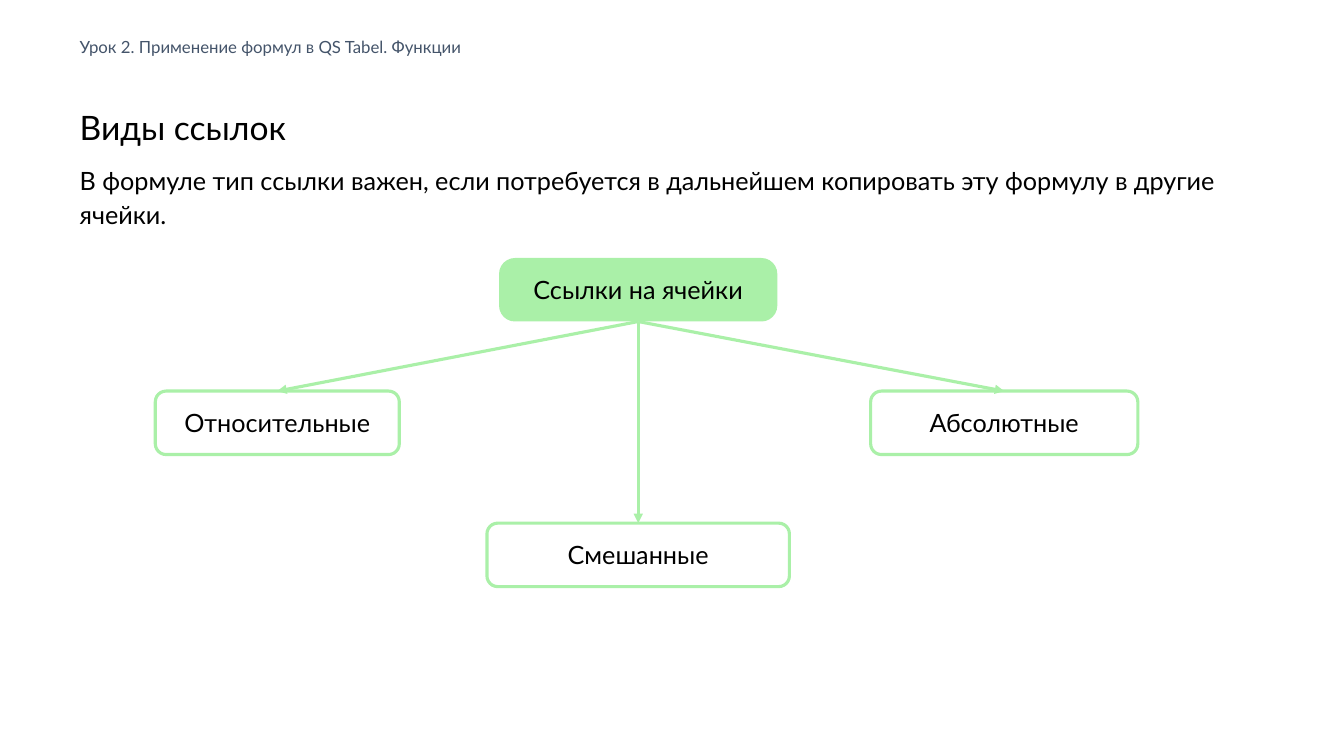
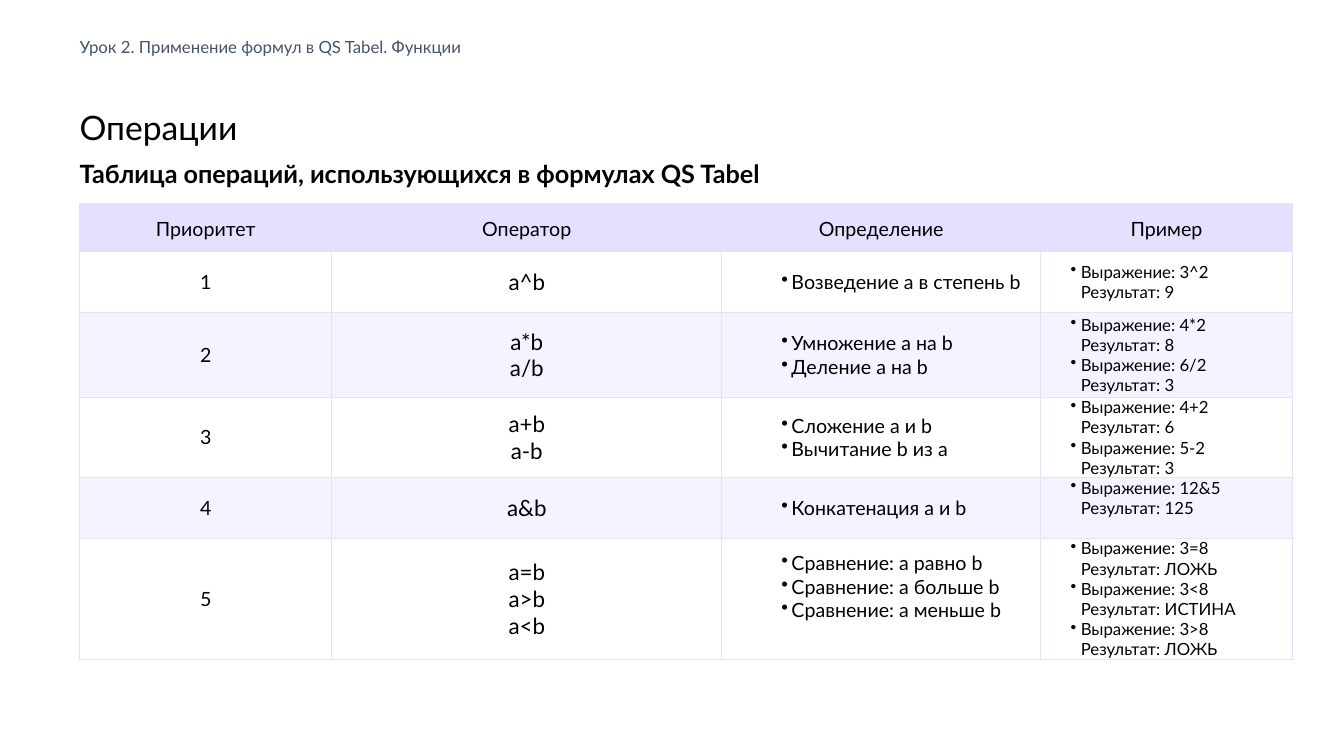
import pptx
import pptx.util
import pptx.dml.color
import pptx.enum.text
import pptx.enum.shapes
import pptx.oxml

IN = pptx.util.Inches
PT = pptx.util.Pt
ALIGN = pptx.enum.text.PP_ALIGN
ANCHOR = pptx.enum.text.MSO_ANCHOR
SHAPE = pptx.enum.shapes.MSO_SHAPE
LINK = pptx.enum.shapes.MSO_CONNECTOR.STRAIGHT
NS = 'xmlns:a="http://schemas.openxmlformats.org/drawingml/2006/main"'

WIDE, HIGH = 13.33, 7.5
LEFT, SPAN = 0.79, 11.76
FONT = "Lato"
HEX = {"ink": "000000", "slate": "44546A", "green": "AAF0A8", "lilac": "E3E1FF", "white": "FFFFFF"}

LESSON = "Урок 2. Применение формул в QS Tabel. Функции"
LINKS = {
    "title": "Виды ссылок",
    "body": "В формуле тип ссылки важен, если потребуется в дальнейшем копировать эту формулу в другие ячейки.",
    "root": "Ссылки на ячейки",
    "kinds": [
        ("Относительные", 2.75, 3.88, 2.42),
        ("Абсолютные", 9.96, 3.88, 2.65),
        ("Смешанные", 6.33, 5.19, 3),
    ],
}
OPS = {
    "title": "Операции",
    "body": "Таблица операций, использующихся в формулах QS Tabel",
    "head": ["Приоритет", "Оператор", "Определение", "Пример"],
    "rows": [
        (["a^b"], ["Возведение a в степень b"], [("3^2", "9")]),
        (["a*b", "a/b"], ["Умножение a на b", "Деление a на b"], [("4*2", "8"), ("6/2", "3")]),
        (["a+b", "a-b"], ["Сложение a и b", "Вычитание b из a"], [("4+2", "6"), ("5-2", "3")]),
        (["a&b"], ["Конкатенация a и b"], [("12&5", "125")]),
        (["a=b", "a>b", "a<b"],
         ["Сравнение: a равно b", "Сравнение: a больше b", "Сравнение: a меньше b"],
         [("3=8", "ЛОЖЬ"), ("3<8", "ИСТИНА"), ("3>8", "ЛОЖЬ")]),
    ],
    "wide": [2.5, 3.87, 3.16, 2.5],
    "high": [0.47, 0.61, 0.84, 0.8, 0.6, 1.2],
    "lift": {(4, 3): 0.2, (5, 2): 0.24},
}


def rgb(name):
    return pptx.dml.color.RGBColor.from_string(HEX[name])


def node(text):
    return pptx.oxml.parse_xml(text)


def write(box, lines, size=18, color="ink", bold=False, align=ALIGN.LEFT, lead=1.0, dent=0, step=0):
    for i, line in enumerate(lines):
        par = box.paragraphs[0] if i == 0 else box.add_paragraph()
        mark = step and i % step == 0
        props = par._p.get_or_add_pPr()
        props.set("marL", str(IN(dent)))
        props.set("indent", str(IN(-0.1 if mark else 0)))
        props.append(node(f'<a:buChar {NS} char="•"/>' if mark else f"<a:buNone {NS}/>"))
        par.alignment = align
        par.line_spacing = lead
        par.space_before = par.space_after = PT(0)
        run = par.add_run()
        run.text = line
        font = run.font
        font.name, font.size, font.bold = FONT, PT(size), bold
        font.color.rgb = rgb(color)


def inset(box, side=0, top=0, base=0):
    box.margin_left = box.margin_right = IN(side)
    box.margin_top, box.margin_bottom = IN(top), IN(base)


def place(hold, at, text, pad=(0, 0, 0), anchor=ANCHOR.TOP, **look):
    hold.left, hold.top, hold.width, hold.height = map(IN, at)
    box = hold.text_frame
    box.word_wrap = True
    box.auto_size = pptx.enum.text.MSO_AUTO_SIZE.NONE
    box.vertical_anchor = anchor
    inset(box, *pad)
    write(box, [text], **look)


def start(deck, data, at, **look):
    slide = deck.slides.add_slide(deck.slide_layouts[3])
    title, lesson, body = slide.placeholders
    place(title, (LEFT, 1.05, SPAN, 0.41), data["title"], pad=(0, 0.01, 0), size=24)
    place(lesson, (LEFT, 0.22, 8.69, 0.52), LESSON, pad=(0, 0.05, 0.05),
          anchor=ANCHOR.MIDDLE, size=12, color="slate", lead=0.9)
    place(body, at, data["body"], lead=1.15, **look)
    return slide


def block(slide, text, mid, top, wide, fill, bend):
    shape = slide.shapes.add_shape(SHAPE.ROUNDED_RECTANGLE, 0, 0, 0, 0)
    shape.shadow.inherit = False
    shape.fill.solid()
    shape.fill.fore_color.rgb = rgb(fill)
    if fill == "white":
        shape.line.color.rgb = rgb("green")
        shape.line.width = PT(2.25)
    else:
        shape.line.fill.background()
    shape.adjustments[0] = bend
    place(shape, (mid - wide / 2, top, wide, 0.63), text, pad=(0.07, 0.04, 0.04),
          anchor=ANCHOR.MIDDLE, align=ALIGN.CENTER)
    return shape


def arrow(slide, root, leaf):
    line = slide.shapes.add_connector(LINK, 0, 0, 0, 0)
    line.begin_connect(root, 2)
    line.end_connect(leaf, 0)
    line.line.color.rgb = rgb("green")
    line.line.width = PT(2.25)
    line.line._get_or_add_ln().append(node(f'<a:tailEnd {NS} type="triangle"/>'))
    line._element.spPr.append(node(f"<a:effectLst {NS}/>"))


def paint(cell, row):
    props = cell._tc.get_or_add_tcPr()
    for side in "LRTB":
        props.append(node(
            f'<a:ln{side} {NS} w="{PT(0.75)}"><a:solidFill><a:srgbClr val="{HEX["lilac"]}"/>'
            f"</a:solidFill></a:ln{side}>"))
    if row % 2:
        cell.fill.background()
        return
    cell.fill.solid()
    cell.fill.fore_color.rgb = rgb("lilac")
    if row:
        tint = props.find(pptx.oxml.ns.qn("a:solidFill"))[0]
        tint.append(node(f'<a:alpha {NS} val="38000"/>'))


def grid(slide, data):
    wide, high = data["wide"], data["high"]
    table = slide.shapes.add_table(
        len(high), len(wide), IN(LEFT), IN(2.02), IN(sum(wide)), IN(sum(high))).table
    table.first_row = table.horz_banding = False
    for col, size in zip(table.columns, wide):
        col.width = IN(size)
    for row, size in zip(table.rows, high):
        row.height = IN(size)
    mid = {"size": 14, "align": ALIGN.CENTER}
    looks = [mid, {"size": 16, "align": ALIGN.CENTER},
             {"size": 14, "dent": 0.69, "step": 1}, {"size": 12, "dent": 0.4, "step": 2}]
    rows = [[[name] for name in data["head"]]]
    for rank, (ops, means, cases) in enumerate(data["rows"], 1):
        demo = [line for case, end in cases for line in (f"Выражение: {case}", f"Результат: {end}")]
        rows.append([[str(rank)], ops, means, demo])
    for r, row in enumerate(rows):
        for c, lines in enumerate(row):
            cell = table.cell(r, c)
            inset(cell, top=0 if r else 0.03, base=data["lift"].get((r, c), 0))
            cell.vertical_anchor = ANCHOR.MIDDLE
            write(cell.text_frame, lines, **(looks[c] if r else mid))
            paint(cell, r)


def main():
    deck = pptx.Presentation()
    deck.slide_width, deck.slide_height = IN(WIDE), IN(HIGH)

    slide = start(deck, LINKS, (0.69, 1.54, 12.21, 0.77), pad=(0.1, 0.05, 0.05))
    root = block(slide, LINKS["root"], 6.33, 2.56, 2.76, "green", 0.25)
    for text, mid, top, wide in LINKS["kinds"]:
        arrow(slide, root, block(slide, text, mid, top, wide, "white", 0.17))

    slide = start(deck, OPS, (LEFT, 1.53, SPAN, 0.41), bold=True)
    grid(slide, OPS)

    deck.save("out.pptx")


if __name__ == "__main__":
    main()
